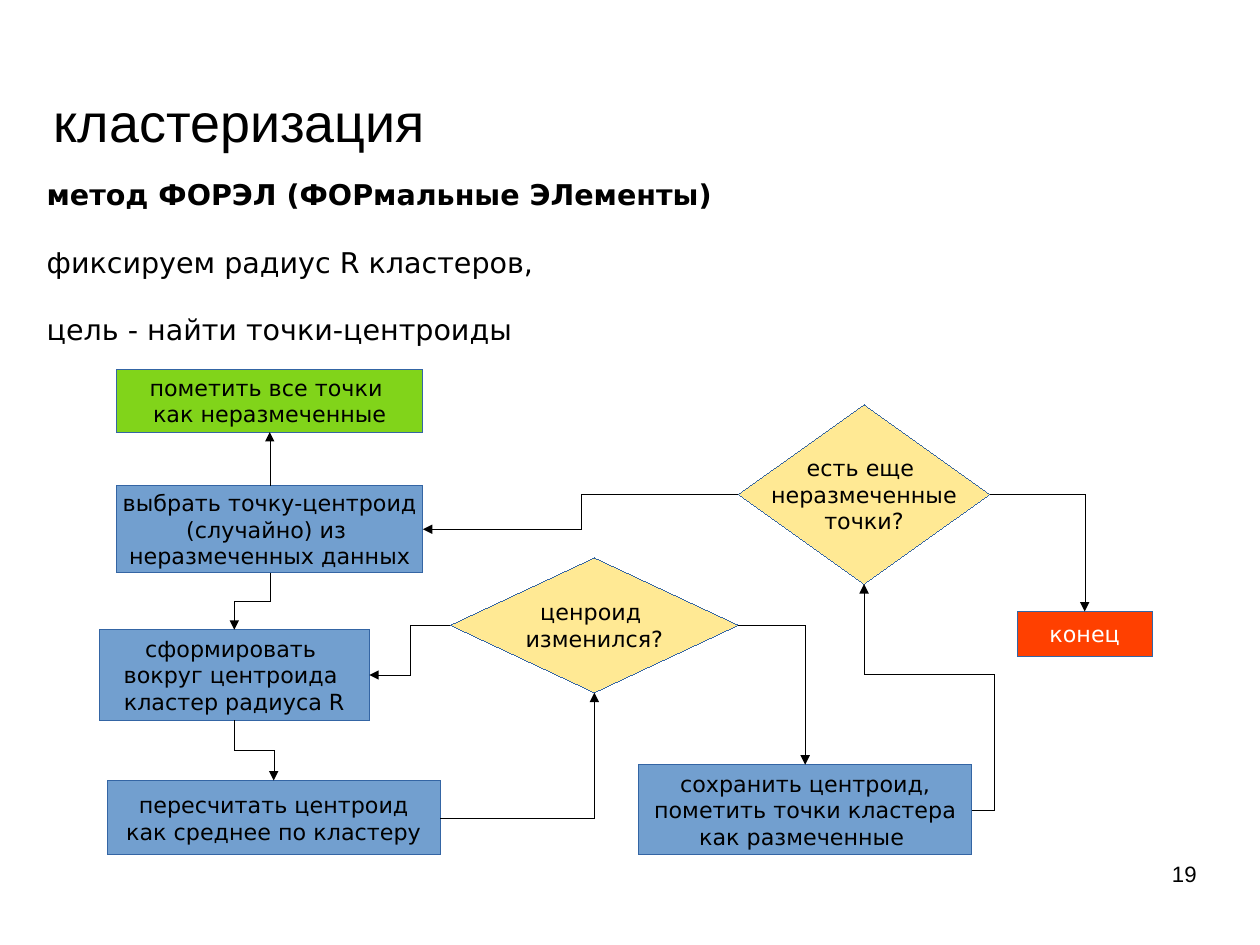
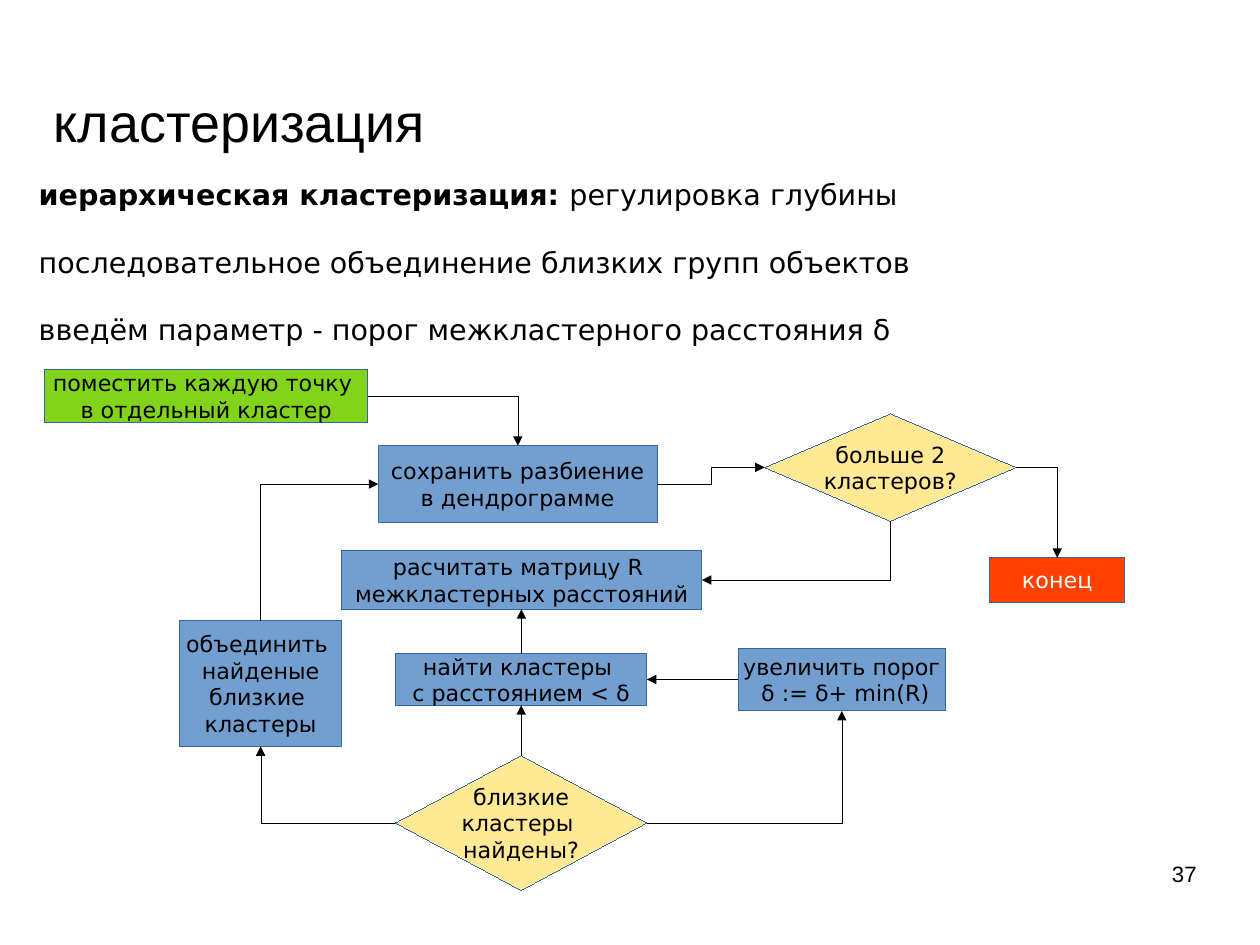
import math
from pptx import Presentation
from pptx.dml.color import RGBColor
from pptx.enum import shapes as es, text as et
from pptx.oxml.ns import qn
from pptx.util import Inches, Pt
from lxml import etree

COL = {"ink": "000000", "white": "FFFFFF", "edge": "3465A4", "step": "729FCF",
       "start": "81D41A", "ask": "FFE994", "end": "FF4000"}
SANS, HEAD = "DejaVu Sans", "Arial"
WIDE, HIGH = 28 / 2.54, 21 / 2.54  # 28 by 21 cm
SIDES = "NWSE"  # order of the connection sites
TURN = {"E": 0, "S": 90, "W": 180, "N": 270}

# Content: node = (kind, place, lines); link = (node, side, node, side, bends)
SLIDES = [
    {"page": "19", "left": 0.31, "wide": 6.3,
     "body": [[("метод ФОРЭЛ (ФОРмальные ЭЛементы)", True)],
              "фиксируем радиус R кластеров,",
              "цель - найти точки-центроиды"],
     "nodes": {
         "mark": ("start", (1.02, 3.23, 2.68, 0.55),
                  ["пометить все точки ", "как неразмеченные"]),
         "pick": ("step", (1.02, 4.25, 2.68, 0.76),
                  ["выбрать точку-центроид", "(случайно) из ", "неразмеченных данных"]),
         "form": ("step", (0.87, 5.51, 2.36, 0.79),
                  ["сформировать ", "вокруг центроида ", "кластер радиуса R"]),
         "mean": ("step", (0.94, 6.83, 2.91, 0.65),
                  ["пересчитать центроид", "как среднее по кластеру"]),
         "moved": ("ask", (3.94, 4.88, 2.52, 1.18), ["ценроид ", "изменился?"]),
         "save": ("step", (5.59, 6.69, 2.91, 0.79),
                  ["сохранить центроид,", "пометить точки кластера", "как размеченные "]),
         "more": ("ask", (6.46, 3.54, 2.2, 1.57),
                  ["есть еще ", "неразмеченные", "точки?"]),
         "end": ("end", (8.9, 5.35, 1.18, 0.39), ["конец"])},
     "links": [("pick", "N", "mark", "S"), ("pick", "S", "form", "N"),
               ("form", "S", "mean", "N"), ("mean", "E", "moved", "S"),
               ("moved", "W", "form", "E"), ("moved", "E", "save", "N"),
               ("save", "E", "more", "S", (-0.21, 0.6)),
               ("more", "W", "pick", "E"), ("more", "E", "end", "N")]},
    {"page": "37", "left": 0.24, "wide": 8.35,
     "body": [[("иерархическая кластеризация: ", True), ("регулировка глубины", False)],
              "последовательное объединение близких групп объектов",
              "введём параметр - порог межкластерного расстояния δ"],
     "nodes": {
         "split": ("start", (0.39, 3.23, 2.83, 0.47),
                   ["поместить каждую точку ", "в отдельный кластер"]),
         "save": ("step", (3.31, 3.9, 2.44, 0.67),
                  ["сохранить разбиение", "в дендрограмме"]),
         "more": ("ask", (6.69, 3.62, 2.2, 0.94), ["больше 2", "кластеров?"]),
         "end": ("end", (8.66, 4.88, 1.18, 0.39), ["конец"]),
         "count": ("step", (2.99, 4.82, 3.15, 0.51),
                   ["расчитать матрицу R ", "межкластерных расстояний"]),
         "find": ("step", (3.46, 5.72, 2.2, 0.45),
                  ["найти кластеры ", "с расстоянием < δ"]),
         "found": ("ask", (3.46, 6.61, 2.2, 1.18),
                   ["близкие", "кластеры ", "найдены?"]),
         "merge": ("step", (1.57, 5.43, 1.42, 1.1),
                   ["объединить ", "найденые", "близкие ", "кластеры"]),
         "raise": ("step", (6.46, 5.67, 1.81, 0.55),
                   ["увеличить порог", " δ := δ+ min(R)"])},
     "links": [("split", "E", "save", "N"), ("save", "E", "more", "W"),
               ("more", "E", "end", "N"), ("more", "S", "count", "E"),
               ("find", "N", "count", "S"), ("found", "N", "find", "S"),
               ("found", "W", "merge", "S"), ("found", "E", "raise", "S"),
               ("raise", "W", "find", "E"), ("merge", "N", "save", "W")]},
]


def rgb(name):
    return RGBColor.from_string(COL[name])


def write(shape, lines, size=14, font=SANS, color="ink", align="LEFT",
          anchor="TOP", pad=(0.1, 0.05), gap=0, wrap=True):
    """Fill a shape; a line is a string or a list of (text, bold) runs."""
    frame = shape.text_frame
    frame.word_wrap = wrap
    frame.vertical_anchor = getattr(et.MSO_ANCHOR, anchor)
    frame.margin_left = frame.margin_right = Inches(pad[0])
    frame.margin_top = frame.margin_bottom = Inches(pad[1])
    for i, line in enumerate(lines):
        para = frame.add_paragraph() if i else frame.paragraphs[0]
        para.alignment = getattr(et.PP_ALIGN, align)
        para.space_before = Pt(gap if i else 0)
        for words, bold in [(line, False)] if isinstance(line, str) else line:
            run = para.add_run()
            run.text = words
            run.font.size, run.font.name, run.font.bold = Pt(size), font, bold
            run.font.color.rgb = rgb(color)


def place(shape, box):
    shape.left, shape.top, shape.width, shape.height = map(Inches, box)


def label(slide, box, lines, **form):
    write(slide.shapes.add_textbox(*map(Inches, box)), lines, **form)


def hair(shape, color):
    """Thinnest line; the zero width must be written out to beat the theme."""
    shape.line.color.rgb = rgb(color)
    stroke = shape.element.spPr.find(qn("a:ln"))
    stroke.set("w", "0")
    return stroke


def node(slide, kind, box, lines):
    form = es.MSO_SHAPE.DIAMOND if kind == "ask" else es.MSO_SHAPE.RECTANGLE
    shape = slide.shapes.add_shape(form, *map(Inches, box))
    shape.shadow.inherit = False
    shape.fill.solid()
    shape.fill.fore_color.rgb = rgb(kind)
    hair(shape, "edge")
    write(shape, lines, color="white" if kind == "end" else "ink",
          align="CENTER", anchor="MIDDLE", wrap=False)
    return shape


def port(box, side):
    x, y, w, h = box
    return {"N": (x + w / 2, y), "S": (x + w / 2, y + h),
            "W": (x, y + h / 2), "E": (x + w, y + h / 2)}[side]


def link(slide, made, boxes, a, out, b, into, bends=()):
    (x1, y1), (x2, y2) = port(boxes[a], out), port(boxes[b], into)
    line = slide.shapes.add_connector(es.MSO_CONNECTOR.ELBOW, 0, 0, 0, 0)
    line.begin_connect(made[a], SIDES.index(out))
    line.end_connect(made[b], SIDES.index(into))

    # Work in a frame whose x axis follows the side the line leaves from
    turn = (TURN[out] + (180 if bends else 0)) % 360
    cos, sin = (round(f(math.radians(turn))) for f in (math.cos, math.sin))
    dx, dy = x2 - x1, y2 - y1
    wide, rise = abs(dx * cos + dy * sin), dy * cos - dx * sin
    high = 0 if abs(rise) < 0.02 else abs(rise)
    place(line, ((x1 + x2 - wide) / 2, (y1 + y2 - high) / 2, wide, high))
    props = line.element.spPr
    props.xfrm.rot, props.xfrm.flipH = turn, False
    props.xfrm.flipV = high > 0 and rise < 0

    # Outline: straight when level, else by the number of bends
    same = TURN[out] % 180 == TURN[into] % 180
    kind = ("bentConnector4" if bends else "bentConnector2" if not same
            else "bentConnector3" if high else "straightConnector1")
    geom = props.find(qn("a:prstGeom"))
    geom.set("prst", kind)
    for old in list(geom):
        geom.remove(old)
    guides = etree.SubElement(geom, qn("a:avLst"))
    for i, part in enumerate(bends, 1):
        etree.SubElement(guides, qn("a:gd"), name=f"adj{i}",
                         fmla=f"val {round(part * 100000)}")

    etree.SubElement(hair(line, "ink"), qn("a:tailEnd"), type="triangle")
    etree.SubElement(props, qn("a:effectLst"))


def main():
    deck = Presentation()
    deck.slide_width, deck.slide_height = Inches(WIDE), Inches(HIGH)
    # The stock 4:3 screen label does not fit this page size
    deck.element.find(qn("p:sldSz")).attrib.pop("type", None)
    for data in SLIDES:
        slide = deck.slides.add_slide(deck.slide_layouts[5])
        # Title, body and page number
        title = slide.shapes.title
        place(title, (0.47, 0.79, 7.56, 0.54))
        write(title, ["кластеризация"], size=33.9, font=HEAD,
              anchor="MIDDLE", pad=(0, 0))
        label(slide, (data["left"], 1.5, data["wide"], 1.55), data["body"],
              size=18, gap=21)
        label(slide, (7.9, 7.53, 2.57, 0.57), [data["page"]], font=HEAD,
              align="RIGHT", pad=(0, 0))
        # Flow chart
        made = {k: node(slide, *v) for k, v in data["nodes"].items()}
        boxes = {k: v[1] for k, v in data["nodes"].items()}
        for ends in data["links"]:
            link(slide, made, boxes, *ends)
    deck.save("out.pptx")


if __name__ == "__main__":
    main()
